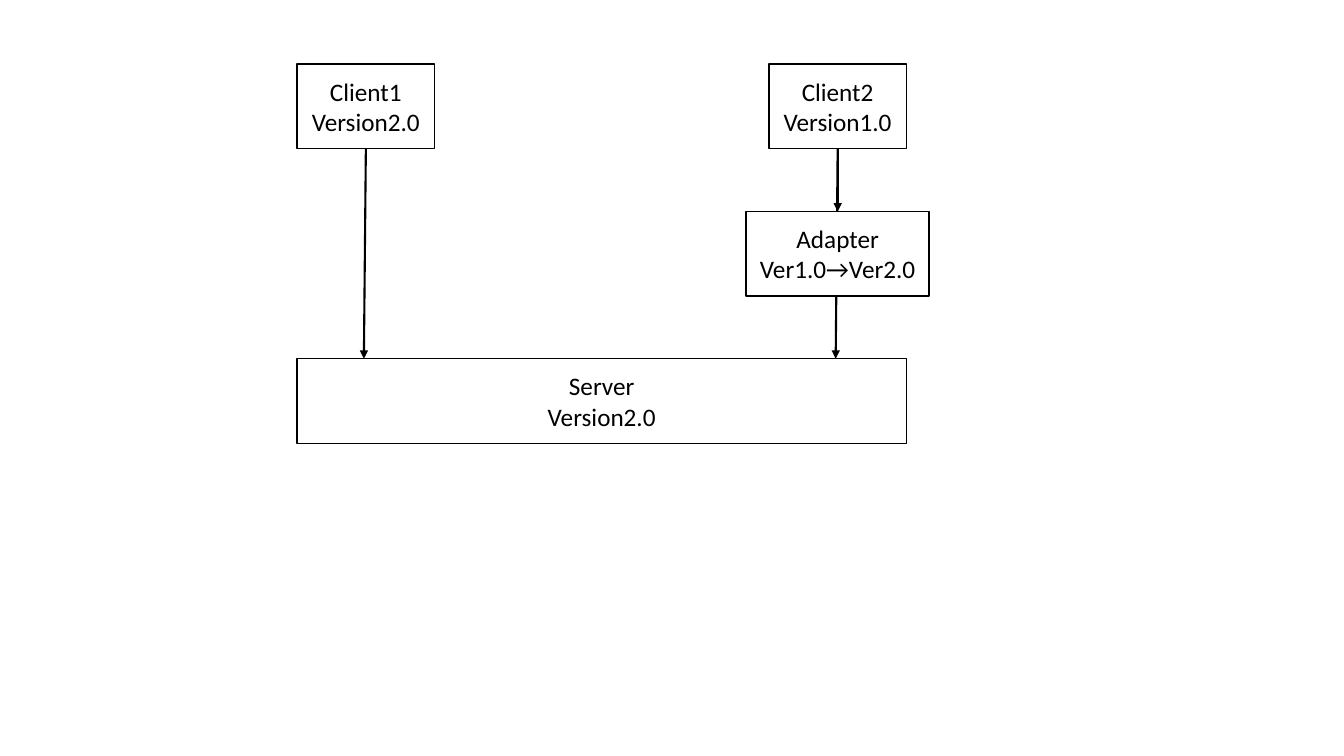
from lxml import etree
from pptx import Presentation
from pptx import util as u
from pptx.dml.color import RGBColor
from pptx.enum import shapes, text
from pptx.oxml.ns import qn

BLACK = "000000"
WHITE = "FFFFFF"
BOX_HEIGHT = 2.13
CLIENT_WIDTH = 3.46
CLIENT_TOP = 1.61
ADAPTER_TOP = 5.33
SERVER_TOP = 9.04
CLIENT1_LEFT = 7.49
CLIENT2_LEFT = 19.38
ARROW_SHIFT = 0.05


def color(value):
    return RGBColor.from_string(value)


def write_text(shape, lines, size=18, font="Calibri", fill=BLACK,
               align=text.PP_ALIGN.CENTER, anchor=text.MSO_ANCHOR.MIDDLE):
    frame = shape.text_frame
    frame.word_wrap = True
    frame.vertical_anchor = anchor
    frame.text = "\n".join(lines)
    for paragraph in frame.paragraphs:
        paragraph.alignment = align
        paragraph.font.size = u.Pt(size)
        paragraph.font.name = font
        paragraph.font.color.rgb = color(fill)


def add_box(slide, left, top, width, *lines):
    shape = slide.shapes.add_shape(
        shapes.MSO_SHAPE.RECTANGLE,
        u.Cm(left), u.Cm(top), u.Cm(width), u.Cm(BOX_HEIGHT))
    shape.shadow.inherit = False
    shape.fill.solid()
    shape.fill.fore_color.rgb = color(WHITE)
    shape.line.color.rgb = color(BLACK)
    shape.line.width = u.Pt(1)
    write_text(shape, lines)


def add_arrow(slide, start_x, start_y, end_x, end_y):
    connector = slide.shapes.add_connector(
        shapes.MSO_CONNECTOR.STRAIGHT,
        u.Cm(start_x), u.Cm(start_y), u.Cm(end_x), u.Cm(end_y))
    connector.line.color.rgb = color(BLACK)
    connector.line.width = u.Pt(1.5)
    line = connector.line._get_or_add_ln()
    etree.SubElement(line, qn("a:tailEnd"), type="triangle")
    etree.SubElement(connector._element.spPr, qn("a:effectLst"))


def main():
    presentation = Presentation()
    presentation.slide_width = u.Cm(33.87)
    presentation.slide_height = u.Cm(19.05)
    slide = presentation.slides.add_slide(presentation.slide_layouts[6])

    client_bottom = CLIENT_TOP + BOX_HEIGHT
    client1_center = CLIENT1_LEFT + CLIENT_WIDTH / 2
    client2_center = CLIENT2_LEFT + CLIENT_WIDTH / 2
    server_width = CLIENT2_LEFT + CLIENT_WIDTH - CLIENT1_LEFT
    adapter_width = 4.61

    add_box(slide, CLIENT1_LEFT, CLIENT_TOP, CLIENT_WIDTH, "Client1", "Version2.0")
    add_box(slide, CLIENT2_LEFT, CLIENT_TOP, CLIENT_WIDTH, "Client2", "Version1.0")
    add_box(slide, CLIENT1_LEFT, SERVER_TOP, server_width, "Server", "Version2.0")
    for center in (client1_center, client2_center):
        add_arrow(slide, center, client_bottom, center - ARROW_SHIFT, SERVER_TOP)
    add_box(slide, client2_center - adapter_width / 2, ADAPTER_TOP, adapter_width,
            "Adapter", "Ver1.0→Ver2.0")
    add_arrow(slide, client2_center, client_bottom, client2_center, ADAPTER_TOP)

    presentation.save("out.pptx")


if __name__ == "__main__":
    main()
